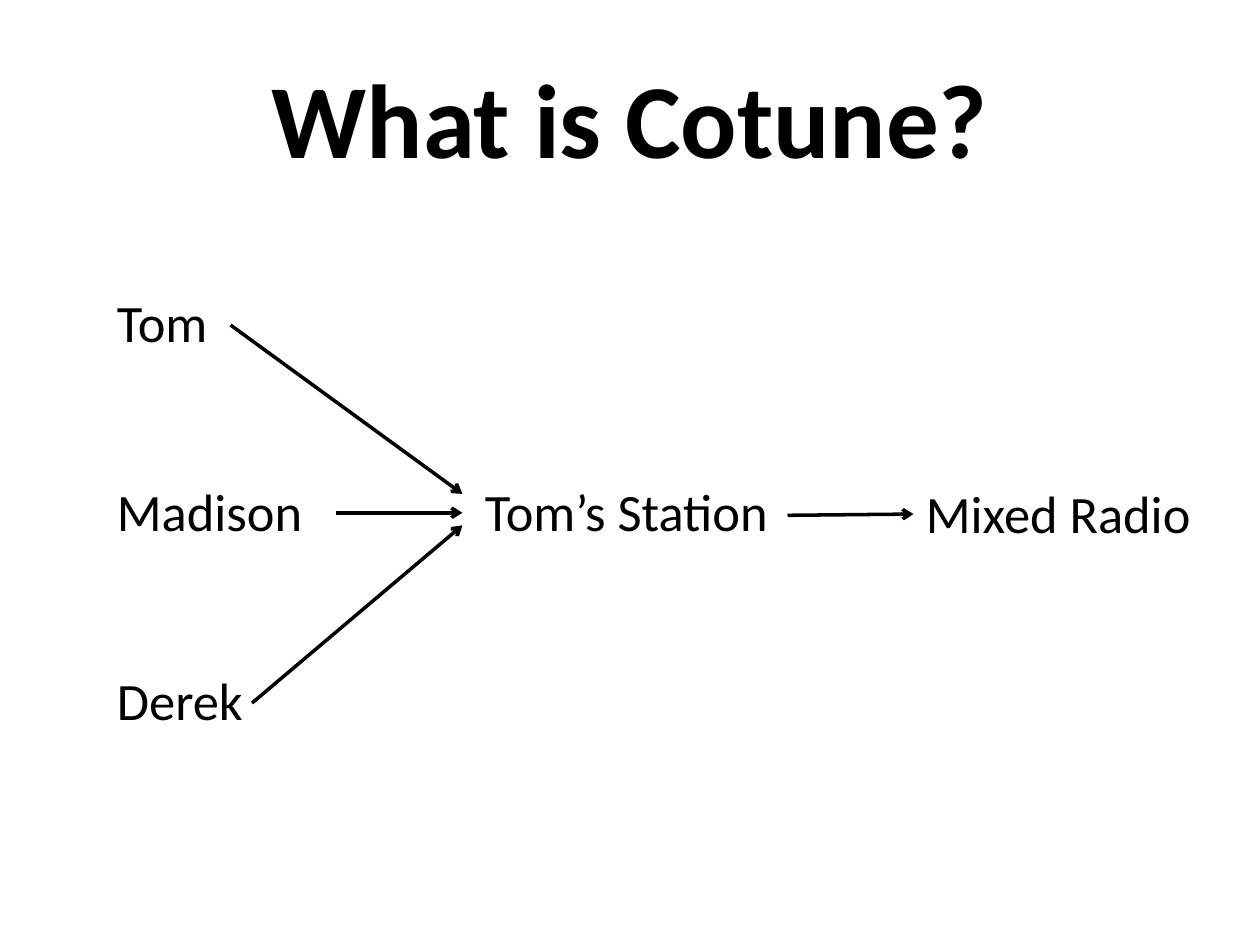
from dataclasses import dataclass

from lxml import etree
from pptx import Presentation
from pptx.dml.color import RGBColor
from pptx.enum import shapes, text
from pptx.oxml import ns
from pptx.util import Inches, Pt

COLORS = {"ink": "000000", "page": "FFFFFF"}


@dataclass
class Label:
    words: str
    left: float
    top: float
    width: float
    height: float = 0.61
    size: int = 30
    bold: bool = False
    align: text.PP_ALIGN = text.PP_ALIGN.LEFT
    anchor: text.MSO_ANCHOR = text.MSO_ANCHOR.TOP


@dataclass
class Arrow:
    x1: float
    y1: float
    x2: float
    y2: float


def color(name: str) -> RGBColor:
    return RGBColor.from_string(COLORS[name])


def draw_label(slide, label: Label) -> None:
    box = slide.shapes.add_textbox(
        Inches(label.left), Inches(label.top),
        Inches(label.width), Inches(label.height))
    frame = box.text_frame
    frame.word_wrap = True
    frame.vertical_anchor = label.anchor
    frame.text = label.words
    para = frame.paragraphs[0]
    para.alignment = label.align
    font = para.runs[0].font
    font.name = "Calibri"
    font.size = Pt(label.size)
    font.bold = label.bold
    font.color.rgb = color("ink")


def draw_arrow(slide, arrow: Arrow) -> None:
    link = slide.shapes.add_connector(
        shapes.MSO_CONNECTOR.STRAIGHT,
        Inches(arrow.x1), Inches(arrow.y1),
        Inches(arrow.x2), Inches(arrow.y2))
    link.line.color.rgb = color("ink")
    link.line.width = Pt(2)
    etree.SubElement(link.line._get_or_add_ln(), ns.qn("a:tailEnd"), type="arrow")
    etree.SubElement(link._element.spPr, ns.qn("a:effectLst"))


deck = Presentation()
deck.slide_width, deck.slide_height = Inches(10), Inches(7.5)
slide = deck.slides.add_slide(deck.slide_layouts[6])
slide.background.fill.solid()
slide.background.fill.fore_color.rgb = color("page")

title = Label("What is Cotune?", 0.5, 0.3, 9, 1.25, 60, True,
              text.PP_ALIGN.CENTER, text.MSO_ANCHOR.MIDDLE)
users = [Label(name, 0.83, 2.25 + 1.5 * row, 1.8)
         for row, name in enumerate(("Tom", "Madison", "Derek"))]
steps = [Label("Tom’s Station", 3.75, 3.75, 2.58),
         Label("Mixed Radio", 7.25, 3.77, 2.42)]
arrows = [Arrow(1.83, 2.58, 3.67, 3.92),
          Arrow(2.67, 4.07, 3.67, 4.07),
          Arrow(2, 5.58, 3.67, 4.17),
          Arrow(6.25, 4.09, 7.25, 4.08)]

for label in [title, *users, *steps]:
    draw_label(slide, label)
for arrow in arrows:
    draw_arrow(slide, arrow)

deck.save("out.pptx")
